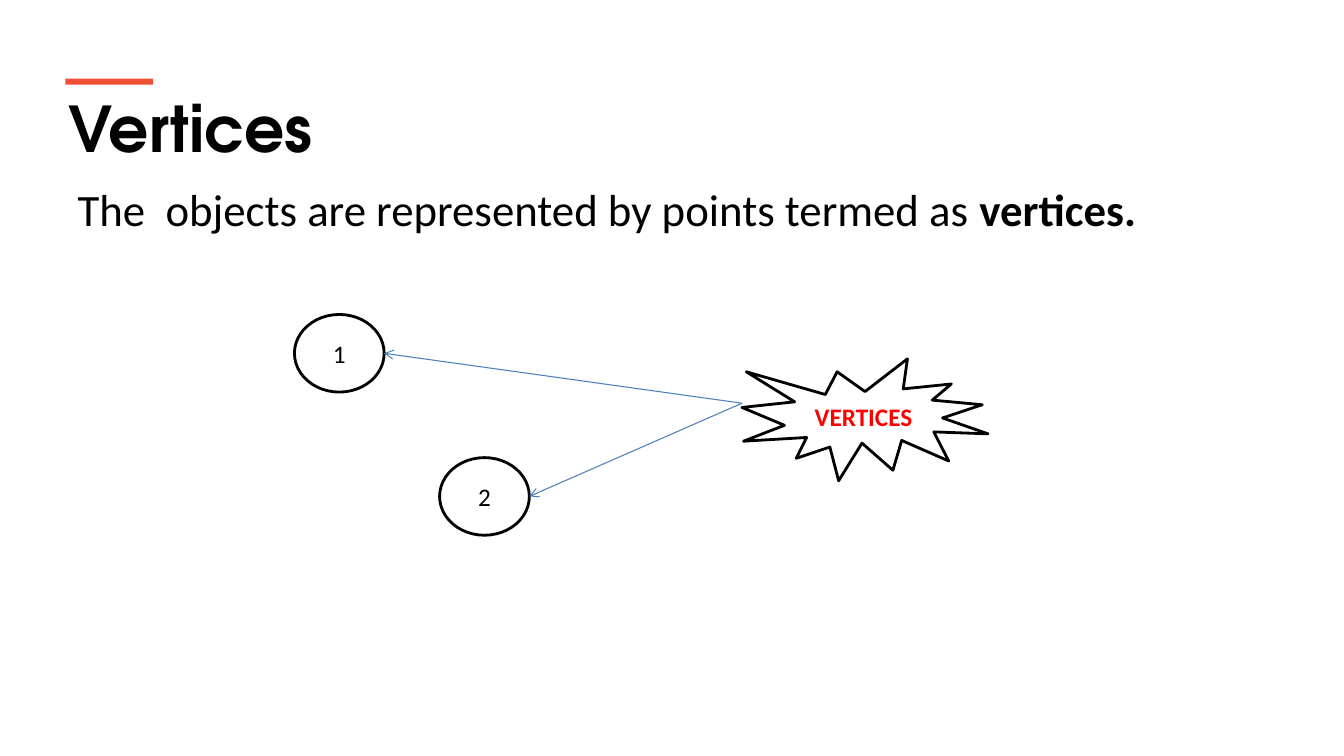
from pptx import Presentation
from pptx.dml.color import RGBColor
from pptx.enum.shapes import MSO_CONNECTOR, MSO_SHAPE
from pptx.enum.text import MSO_ANCHOR, MSO_AUTO_SIZE, PP_ALIGN
from pptx.oxml.ns import qn
from pptx.util import Inches, Pt
from lxml.etree import SubElement

# Content: text runs are (text, bold); boxes are left, top, width, height
TITLE = [("Vertices", True)]
BODY = [("The  objects are represented by points termed as ", False), ("vertices.", True)]
TITLE_BOX = (0.58, 0.84, 12.18, 0.86)
BODY_BOX = (0.67, 1.75, 12, 4.95)
ACCENT_BOX = (0.65, 0.78, 0.87, 0.06)
VERTEX_SIZE = (0.89, 0.77)
VERTICES = [("1", 2.92, 3.12), ("2", 4.36, 4.54)]
BURST_BOX = (7.36, 3.56, 2.44, 1.21)
ARROW_START = (7.36, 4)

BLACK, WHITE, RED = "000000", "FFFFFF", "FF0000"
ACCENT, ARROW = "F05136", "4B7EBC"


def color(value):
    return RGBColor.from_string(value)


def write(shape, runs, size=18, font="Calibri", fill=BLACK,
          align=PP_ALIGN.LEFT, anchor=MSO_ANCHOR.TOP):
    frame = shape.text_frame
    frame.word_wrap = True
    frame.auto_size = MSO_AUTO_SIZE.NONE
    frame.vertical_anchor = anchor
    paragraph = frame.paragraphs[0]
    paragraph.alignment = align
    paragraph.space_before = Pt(0)
    for text, bold in runs:
        run = paragraph.add_run()
        run.text = text
        run.font.name, run.font.size, run.font.bold = font, Pt(size), bold
        run.font.color.rgb = color(fill)
    return paragraph


def place(shape, box):
    shape.left, shape.top, shape.width, shape.height = map(Inches, box)


def add_figure(kind, box, fill, line=None):
    shape = slide.shapes.add_shape(kind, *map(Inches, box))
    shape.shadow.inherit = False
    shape.fill.solid()
    shape.fill.fore_color.rgb = color(fill)
    if line:
        shape.line.color.rgb = color(line)
        shape.line.width = Pt(2)
    else:
        shape.line.fill.background()
    return shape


def add_label(shape, text, **text_format):
    frame = shape.text_frame
    frame.margin_left = frame.margin_right = Inches(0.13)
    frame.margin_top = frame.margin_bottom = Inches(0.07)
    bold = text_format.pop("bold", False)
    write(shape, [(text, bold)], align=PP_ALIGN.CENTER,
          anchor=MSO_ANCHOR.MIDDLE, **text_format)


def add_arrow(start, end):
    arrow = slide.shapes.add_connector(
        MSO_CONNECTOR.STRAIGHT, *map(Inches, (*start, *end)))
    arrow.line.color.rgb = color(ARROW)
    arrow.line.width = Pt(0.75)
    properties = arrow.line._get_or_add_ln()
    SubElement(properties, qn("a:tailEnd"), type="arrow")
    SubElement(arrow._element.spPr, qn("a:effectLst"))


presentation = Presentation()
presentation.slide_width, presentation.slide_height = Inches(13.33), Inches(7.5)
slide = presentation.slides.add_slide(presentation.slide_layouts[1])

# Title and sentence
title, body = slide.placeholders
place(title, TITLE_BOX)
write(title, TITLE, size=45, font="TeX Gyre Adventor")
place(body, BODY_BOX)
sentence = write(body, BODY, size=32)
sentence_format = sentence._p.get_or_add_pPr()
sentence_format.set("marL", "0")
sentence_format.set("indent", "0")
SubElement(sentence_format, qn("a:buNone"))

# Numbered vertices, each with an arrow to its right edge
width, height = VERTEX_SIZE
for number, left, top in VERTICES:
    vertex = add_figure(MSO_SHAPE.OVAL, (left, top, width, height), WHITE, BLACK)
    add_label(vertex, number)
    add_arrow(ARROW_START, (left + width, top + height / 2))

# Burst naming the vertices
burst = add_figure(MSO_SHAPE.EXPLOSION1, BURST_BOX, WHITE, BLACK)
add_label(burst, "VERTICES", fill=RED, bold=True)

# Accent bar above the title
add_figure(MSO_SHAPE.RECTANGLE, ACCENT_BOX, ACCENT)

presentation.save("out.pptx")
